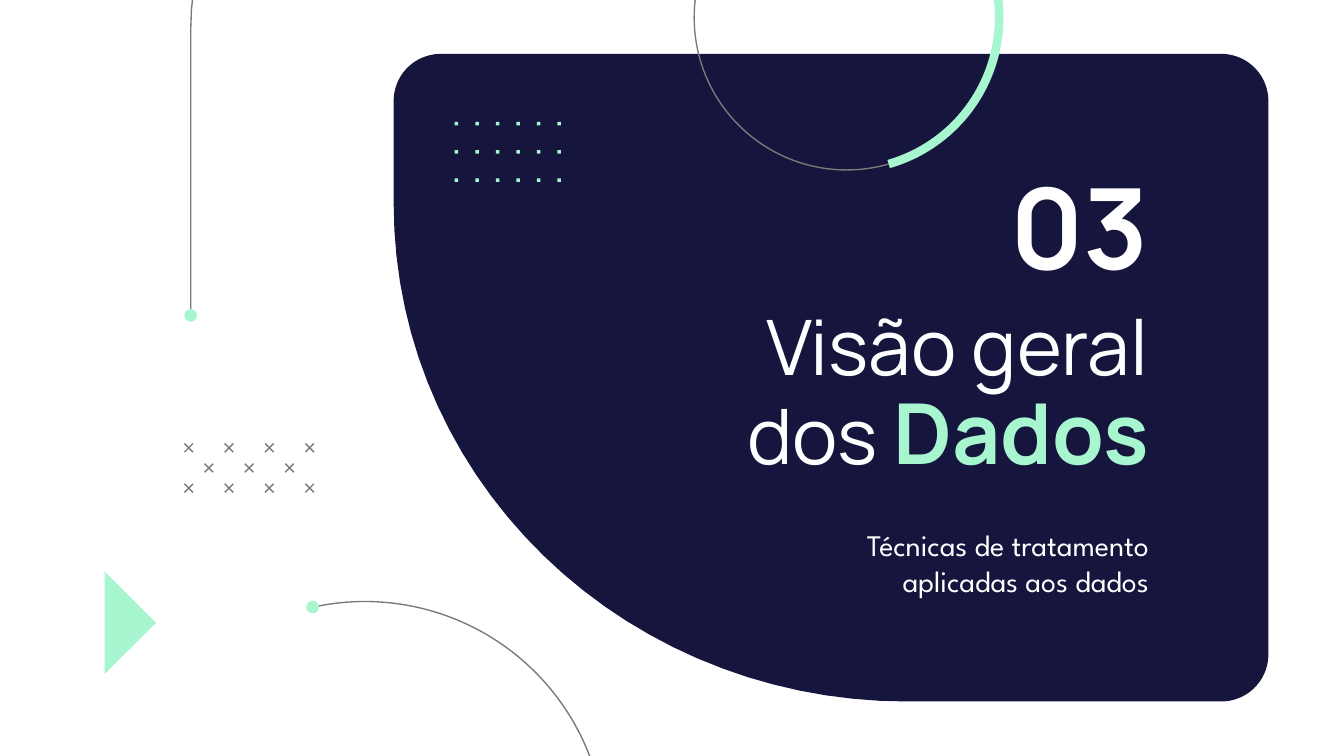
from math import cos, radians, sin
from lxml.etree import SubElement
from pptx import Presentation
from pptx.dml.color import RGBColor
from pptx.enum.shapes import MSO_CONNECTOR as Link, MSO_SHAPE as Kind
from pptx.enum.text import MSO_ANCHOR as Anchor, MSO_AUTO_SIZE as Fit, PP_ALIGN as Align
from pptx.oxml.ns import qn
from pptx.util import Pt

NAVY = RGBColor(0x15, 0x15, 0x3E)
MINT = RGBColor(0xA7, 0xF6, 0xCF)
GRAY = RGBColor(0x7A, 0x7A, 0x7A)
WHITE = RGBColor(0xFF, 0xFF, 0xFF)
HEAD, BODY = "Manrope", "League Spartan"


def paint(shape, fill=None, line=None, width=0.75):
    shape.shadow.inherit = False
    for part, color in ((shape.fill, fill), (shape.line.fill, line)):
        if color is None:
            part.background()
        else:
            part.solid()
            part.fore_color.rgb = color
    if line is not None:
        shape.line.width = Pt(width)


def bend(x, y, rx, ry, start):
    """Points of a clockwise quarter ellipse around x, y."""
    turns = [radians(start + 3 * step) for step in range(31)]
    return [(x + rx * cos(turn), y + ry * sin(turn)) for turn in turns]


def trace(slide, points, close=True, **style):
    spots = [(Pt(x), Pt(y)) for x, y in points]
    pen = slide.shapes.build_freeform(*spots[0], scale=1.0)
    pen.add_line_segments(spots[1:], close=close)
    paint(pen.convert_to_shape(), **style)


def add_panel(slide, x, y, w, h):
    r, wide, tall = 25.2, 274.4, 266.4
    right, low = x + w, y + h
    points = (bend(right - r, y + r, r, r, -90) + bend(right - r, low - r, r, r, 0)
              + bend(x + wide, low - tall, wide, tall, 90) + bend(x + r, y + r, r, r, 180))
    trace(slide, points, fill=NAVY)


def add_arrow(slide, x, y, w, h):
    trace(slide, [(x, y), (x + w, y + h / 2), (x, y + h)], fill=MINT)


def write(shape, box, runs, anchor=Anchor.TOP, foot=0, space=1.0):
    shape.left, shape.top, shape.width, shape.height = map(Pt, box)
    frame = shape.text_frame
    form = dict(word_wrap=True, auto_size=Fit.NONE, vertical_anchor=anchor,
                margin_left=Pt(7.2), margin_right=Pt(7.2),
                margin_top=Pt(7.2), margin_bottom=Pt(foot))
    for name, value in form.items():
        setattr(frame, name, value)
    para = frame.paragraphs[0]
    para.alignment, para.line_spacing = Align.RIGHT, space
    for text, color, font in runs:
        run = para.add_run()
        run.text = text
        run.font.color.rgb = color
        for name, value in font.items():
            setattr(run.font, name, value)


def add_words(slide, right, top):
    light = dict(name=HEAD, size=Pt(41), bold=False)
    strong = dict(name=HEAD, size=Pt(45), bold=True)
    write(slide.shapes.title, (right - 283.7, top + 79.2, 283.7, 113.8),
          [("Visão geral dos ", WHITE, light), ("Dados", MINT, strong)],
          foot=7.2, space=0.9)
    blank = (0, 0, 0, 0)
    write(slide.shapes.add_textbox(*blank), (right - 90.7, top, 90.7, 77),
          [("03", WHITE, dict(name=HEAD, size=Pt(60), bold=True))], Anchor.BOTTOM)
    write(slide.shapes.add_textbox(*blank), (right - 195.8, top + 195.8, 195.8, 55.4),
          [("Técnicas de tratamento aplicadas aos dados", WHITE,
            dict(name=BODY, size=Pt(16)))])


def add_cross(slide, x, y, size=4.6):
    for start, end in ((y, y + size), (y + size, y)):
        line = slide.shapes.add_connector(
            Link.STRAIGHT, Pt(x), Pt(start), Pt(x + size), Pt(end))
        line.line.color.rgb = GRAY
        line.line.width = Pt(0.75)
        SubElement(line._element.spPr, qn("a:effectLst"))


def add_crosses(slide, x, y, gap=21.6):
    for row, count in enumerate((4, 3, 4)):
        for col in range(count):
            add_cross(slide, x + gap * (col + row % 2 / 2), y + gap / 2 * row)


def add_shape(slide, kind, x, y, w, h, **style):
    shape = slide.shapes.add_shape(kind, Pt(x), Pt(y), Pt(w), Pt(h))
    paint(shape, **style)
    return shape


def add_grid(slide, x, y):
    for row in range(3):
        for col in range(6):
            add_shape(slide, Kind.RECTANGLE, x + 11 * col, y + 15.1 * row,
                      1.9, 1.9, fill=MINT)


def add_arc(slide, x, y, r, start, end, **style):
    """Clockwise arc around x, y, with angles in degrees."""
    arc = add_shape(slide, Kind.ARC, x - r, y - r, 2 * r, 2 * r, **style)
    for spot, angle in enumerate((start, end)):
        arc.adjustments[spot] = angle * 0.6


def add_knob(slide, x, y, r=3.4):
    add_shape(slide, Kind.OVAL, x - r, y - r, 2 * r, 2 * r, fill=MINT)


def add_pipe(slide, x, y):
    """Line that rises from a knob and bends to the right."""
    rise, rx, ry = 154, 301, 199.4
    curve = bend(x + rx, y - rise, rx, ry, 180)
    trace(slide, [(x, y)] + curve, close=False, line=GRAY)
    add_knob(slide, x, y)


def add_ring(slide, x, y, r):
    add_arc(slide, x, y, r, 74, 344, line=GRAY)
    add_arc(slide, x, y, r, 344, 74, line=MINT, width=4.6)


def add_loop(slide, x, y, r):
    start = 259
    add_arc(slide, x, y, r, start, 170, line=GRAY)
    turn = radians(start)
    add_knob(slide, x + r * cos(turn) - 3.4, y + r * sin(turn) + 0.6)


def main():
    deck = Presentation()
    deck.slide_width, deck.slide_height = Pt(720), Pt(405)
    slide = deck.slides.add_slide(deck.slide_layouts[5])
    add_panel(slide, 210.9, 28.9, 468.6, 346.9)
    add_arrow(slide, 56, 306.2, 27.6, 55)
    add_words(slide, 622.6, 79.2)
    add_crosses(slide, 98.8, 237.6)
    add_grid(slide, 243.6, 65.3)
    add_pipe(slide, 102.2, 169)
    add_ring(slide, 453.6, 9.4, 81.7)
    add_loop(slide, 195.5, 451.3, 129)
    # The title holder comes first in the tree: lift it above the panel.
    tree = slide.shapes._spTree
    tree.append(slide.shapes.title._element)
    deck.save("out.pptx")


if __name__ == "__main__":
    main()
